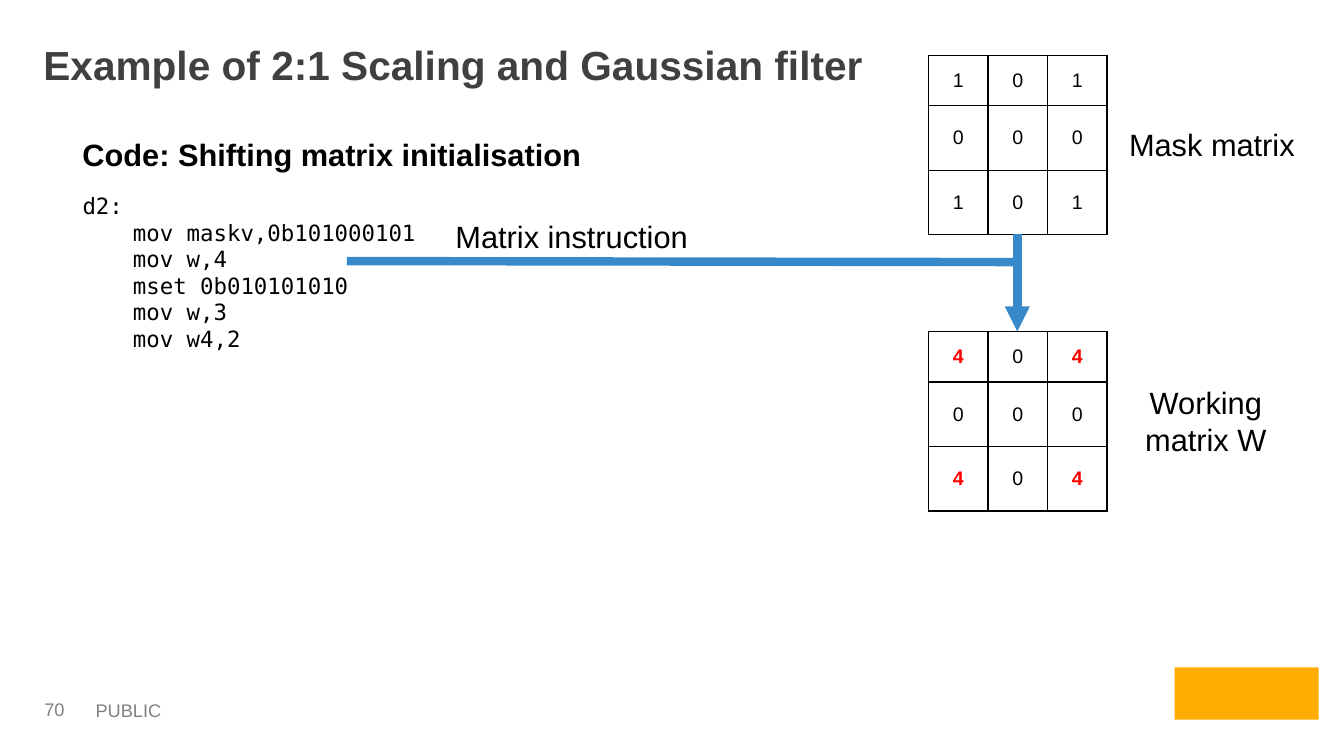
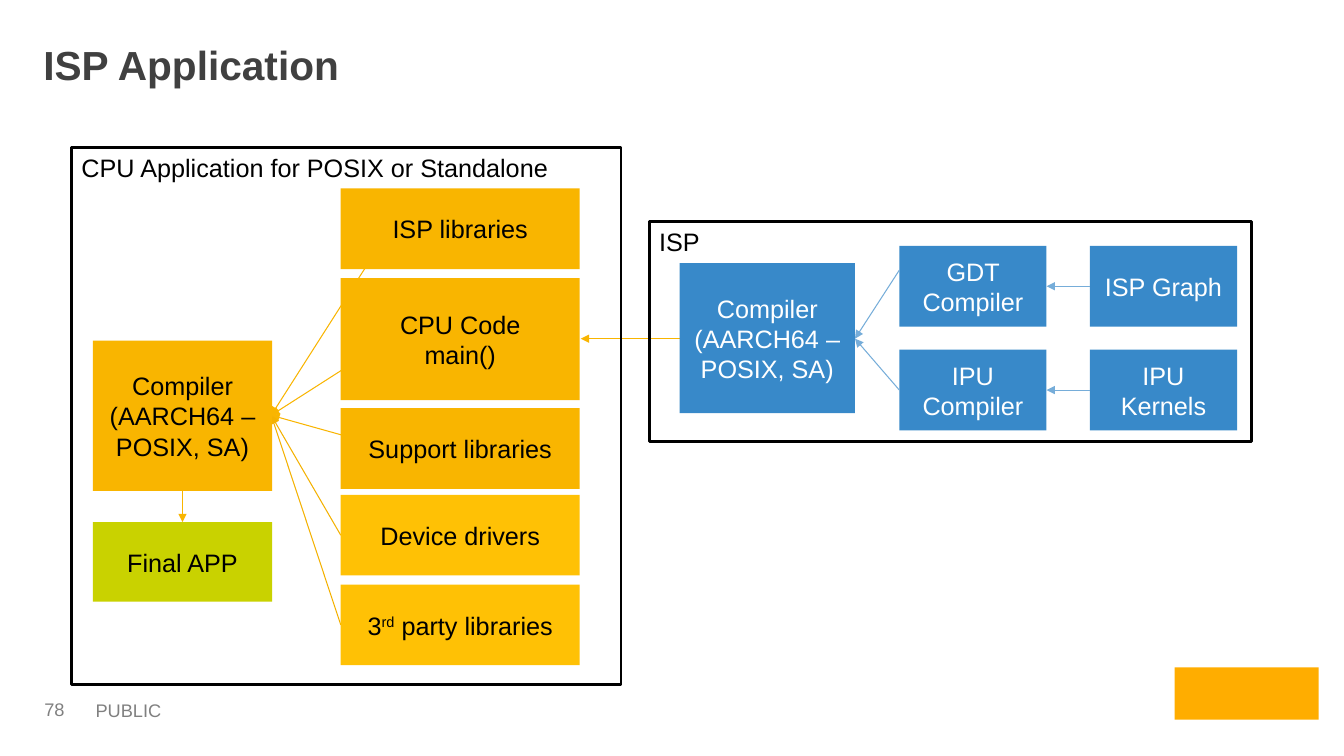
from lxml.etree import SubElement
from pptx import Presentation
from pptx.dml.color import RGBColor
from pptx.enum.shapes import MSO_CONNECTOR, MSO_SHAPE
from pptx.enum.text import MSO_ANCHOR as Anchor, MSO_AUTO_SIZE, PP_ALIGN as Align
from pptx.oxml import parse_xml
from pptx.oxml.ns import nsdecls, qn
from pptx.util import Inches, Pt

BLACK = RGBColor(0x00, 0x00, 0x00)
WHITE = RGBColor(0xFF, 0xFF, 0xFF)
TITLE_GRAY = RGBColor(0x40, 0x40, 0x40)
FOOTER_GRAY = RGBColor(0x80, 0x80, 0x80)
RED = RGBColor(0xFF, 0x00, 0x00)
BLUE = RGBColor(0x38, 0x89, 0xC9)
LIGHT_BLUE = RGBColor(0x76, 0xAD, 0xD9)
ORANGE = RGBColor(0xF9, 0xB5, 0x00)
AMBER = RGBColor(0xFF, 0xC1, 0x05)
DARK_AMBER = RGBColor(0xF4, 0xB1, 0x00)
LIME = RGBColor(0xC9, 0xD2, 0x00)
LOGO_ORANGE = RGBColor(0xFF, 0xAD, 0x00)

SANS = "Arial"
MONO = "DejaVu Sans Mono"
TITLE_BOX = (0.33, 0.31, 12.75, 0.72)
LOGO_BOX = (11.65, 6.62, 1.43, 0.52)


def inches(*lengths):
    return [Inches(length) for length in lengths]


def add_run(paragraph, text, size, color=BLACK, bold=False, font=SANS):
    run = paragraph.add_run()
    run.text = text
    run.font.size = Pt(size)
    run.font.name = font
    run.font.bold = bold
    run.font.color.rgb = color
    return run


def add_text(slide, box, text, size=22, color=BLACK, bold=False, align=Align.LEFT):
    frame = slide.shapes.add_textbox(*inches(*box)).text_frame
    frame.word_wrap = True
    paragraph = frame.paragraphs[0]
    paragraph.alignment = align
    add_run(paragraph, text, size, color, bold)
    return frame


def add_rectangle(slide, box, fill=None):
    shape = slide.shapes.add_shape(MSO_SHAPE.RECTANGLE, *inches(*box))
    shape.shadow.inherit = False
    if fill is None:
        shape.fill.background()
    else:
        shape.fill.solid()
        shape.fill.fore_color.rgb = fill
    shape.line.fill.background()
    return shape


def add_block(slide, box, lines, fill, color=BLACK):
    frame = add_rectangle(slide, box, fill).text_frame
    frame.word_wrap = True
    frame.vertical_anchor = Anchor.MIDDLE
    for index, line in enumerate(lines):
        paragraph = frame.add_paragraph() if index else frame.paragraphs[0]
        paragraph.alignment = Align.CENTER
        add_run(paragraph, line, 18, color)
    return frame


def add_frame(slide, box, caption):
    shape = add_rectangle(slide, box)
    shape.line.color.rgb = BLACK
    shape.line.width = Pt(2)
    frame = shape.text_frame
    frame.word_wrap = True
    frame.vertical_anchor = Anchor.TOP
    paragraph = frame.paragraphs[0]
    paragraph.alignment = Align.LEFT
    add_run(paragraph, caption, 18)


def add_line(slide, start, end, color, width=0.75, arrow=True):
    connector = slide.shapes.add_connector(
        MSO_CONNECTOR.STRAIGHT, *inches(*start, *end))
    connector.line.color.rgb = color
    connector.line.width = Pt(width)
    if arrow:
        SubElement(connector.line._get_or_add_ln(), qn("a:tailEnd"), type="triangle")
    SubElement(connector._element.spPr, qn("a:effectLst"))


def add_titled_slide(presentation, title, number):
    slide = presentation.slides.add_slide(presentation.slide_layouts[5])
    placeholder = slide.shapes.title
    placeholder.left, placeholder.top, placeholder.width, placeholder.height = inches(*TITLE_BOX)
    frame = placeholder.text_frame
    frame.auto_size = MSO_AUTO_SIZE.NONE
    frame.vertical_anchor = Anchor.TOP
    frame.margin_top = Inches(0.09)
    paragraph = frame.paragraphs[0]
    paragraph.alignment = Align.LEFT
    add_run(paragraph, title, 29, TITLE_GRAY, True)

    add_text(slide, (0.85, 6.89, 3.98, 0.34), "PUBLIC", 13, FOOTER_GRAY)
    number_frame = add_text(slide, (0.37, 6.89, 0.65, 0.3), number, 13, FOOTER_GRAY)
    number_frame.vertical_anchor = Anchor.MIDDLE
    number_frame.margin_left = number_frame.margin_right = Inches(0.07)
    number_frame.margin_top = number_frame.margin_bottom = Inches(0.04)
    add_rectangle(slide, LOGO_BOX, LOGO_ORANGE)
    return slide


def add_borders(cell):
    properties = cell._tc.get_or_add_tcPr()
    for index, side in enumerate(("lnL", "lnR", "lnT", "lnB")):
        properties.insert(index, parse_xml(
            f'<a:{side} {nsdecls("a")} w="12700"><a:solidFill>'
            f'<a:srgbClr val="{BLACK}"/></a:solidFill></a:{side}>'))


def add_matrix(slide, left, top, rows, highlight=None):
    table = slide.shapes.add_table(3, 3, *inches(left, top, 1.77, 1.78)).table
    table.first_row = False
    table.horz_banding = False
    for column in table.columns:
        column.width = Inches(0.59)
    for row, height, values in zip(table.rows, (0.5, 0.64, 0.64), rows):
        row.height = Inches(height)
        for cell, value in zip(row.cells, values):
            cell.fill.solid()
            cell.fill.fore_color.rgb = WHITE
            cell.vertical_anchor = Anchor.MIDDLE
            add_borders(cell)
            paragraph = cell.text_frame.paragraphs[0]
            paragraph.alignment = Align.CENTER
            marked = value == highlight
            add_run(paragraph, value, 14, RED if marked else BLACK, marked)


def add_code(slide, left, top, lines):
    frame = slide.shapes.add_textbox(*inches(left, top, 6.41, 1.72)).text_frame
    frame.word_wrap = True
    for index, line in enumerate(lines):
        paragraph = frame.add_paragraph() if index else frame.paragraphs[0]
        paragraph.line_spacing = Pt(19)
        if index:
            paragraph.level = 1
            properties = paragraph._p.get_or_add_pPr()
            properties.set("marL", str(Inches(0.5)))
            properties.set("indent", "0")
        add_run(paragraph, line, 16, font=MONO)


def build_matrix_slide(presentation):
    slide = add_titled_slide(presentation, "Example of 2:1 Scaling and Gaussian filter", "70")
    add_matrix(slide, 9.21, 0.55, ("101", "000", "101"))
    add_text(slide, (11.04, 1.2, 1.96, 0.47), "Mask matrix", align=Align.CENTER)
    add_matrix(slide, 9.21, 3.29, ("404", "000", "404"), "4")
    add_text(slide, (10.98, 3.76, 1.96, 0.83), "Working matrix W", align=Align.CENTER)
    add_line(slide, (10.09, 2.32), (10.09, 3.29), BLUE, 6)
    add_text(slide, (0.72, 1.3, 9.74, 0.54), "Code: Shifting matrix initialisation", bold=True)
    add_code(slide, 0.72, 1.86, (
        "d2:", "mov maskv,0b101000101", "mov w,4",
        "mset 0b010101010", "mov w,3", "mov w4,2"))
    add_line(slide, (3.44, 2.59), (10.11, 2.6), BLUE, 6, arrow=False)
    add_text(slide, (4.18, 2.11, 2.98, 0.47), "Matrix instruction", align=Align.CENTER)


def add_application_region(slide, left, top):
    add_frame(slide, (left, top, 5.45, 5.33), "CPU Application for POSIX or Standalone")
    compiler_port = (left + 1.98, top + 2.66)
    inputs = (
        (0.41, 0.8, ("ISP libraries",), ORANGE, ORANGE, 0.49),
        (1.3, 1.21, ("CPU Code", "main()"), ORANGE, ORANGE, 0.49),
        (2.59, 0.8, ("Support libraries",), ORANGE, ORANGE, 0.49),
        (3.45, 0.8, ("Device drivers",), AMBER, DARK_AMBER, 0),
        (4.34, 0.8, (), AMBER, DARK_AMBER, 0),
    )
    input_left = left + 2.67
    for offset, height, lines, fill, line_color, inset in inputs:
        start = (input_left + inset, top + offset + height / 2)
        add_line(slide, start, compiler_port, line_color)
    for offset, height, lines, fill, line_color, inset in inputs:
        frame = add_block(slide, (input_left, top + offset, 2.37, height), lines, fill)
    paragraph = frame.paragraphs[0]
    paragraph.alignment = Align.CENTER
    add_run(paragraph, "3", 18)
    ordinal = add_run(paragraph, "rd", 18)
    ordinal._r.get_or_add_rPr().set("baseline", "30000")
    add_run(paragraph, " party libraries", 18)

    add_block(slide, (left + 0.21, top + 1.92, 1.78, 1.49),
              ("Compiler (AARCH64 – POSIX, SA)",), ORANGE)
    add_block(slide, (left + 0.21, top + 3.72, 1.78, 0.79), ("Final APP",), LIME)
    add_line(slide, (left + 1.1, top + 3.4), (left + 1.1, top + 3.72), ORANGE)


def add_isp_region(slide, left, top):
    add_frame(slide, (left, top, 5.97, 2.18), "ISP")
    add_block(slide, (left + 0.3, top + 0.41, 1.74, 1.49),
              ("Compiler (AARCH64 – POSIX, SA)",), BLUE, WHITE)
    tool_left, source_left = left + 2.48, left + 4.37
    for offset, port, tool, source in (
            (0.24, 0.48, "GDT Compiler", "ISP Graph"),
            (1.27, 1.67, "IPU Compiler", "IPU Kernels")):
        for block_left, text in ((tool_left, tool), (source_left, source)):
            add_block(slide, (block_left, top + offset, 1.46, 0.8), (text,), BLUE, WHITE)
        middle = top + offset + 0.4
        add_line(slide, (source_left, middle), (tool_left + 1.46, middle), LIGHT_BLUE)
        add_line(slide, (tool_left, top + port), (left + 2.04, top + 1.16), LIGHT_BLUE)


def build_application_slide(presentation):
    slide = add_titled_slide(presentation, "ISP Application", "78")
    add_line(slide, (6.74, 3.36), (5.76, 3.36), ORANGE)
    add_isp_region(slide, 6.44, 2.2)
    add_application_region(slide, 0.71, 1.46)


def main():
    presentation = Presentation()
    presentation.slide_width = Inches(13.33)
    presentation.slide_height = Inches(7.5)
    build_matrix_slide(presentation)
    build_application_slide(presentation)
    presentation.save("out.pptx")


if __name__ == "__main__":
    main()
